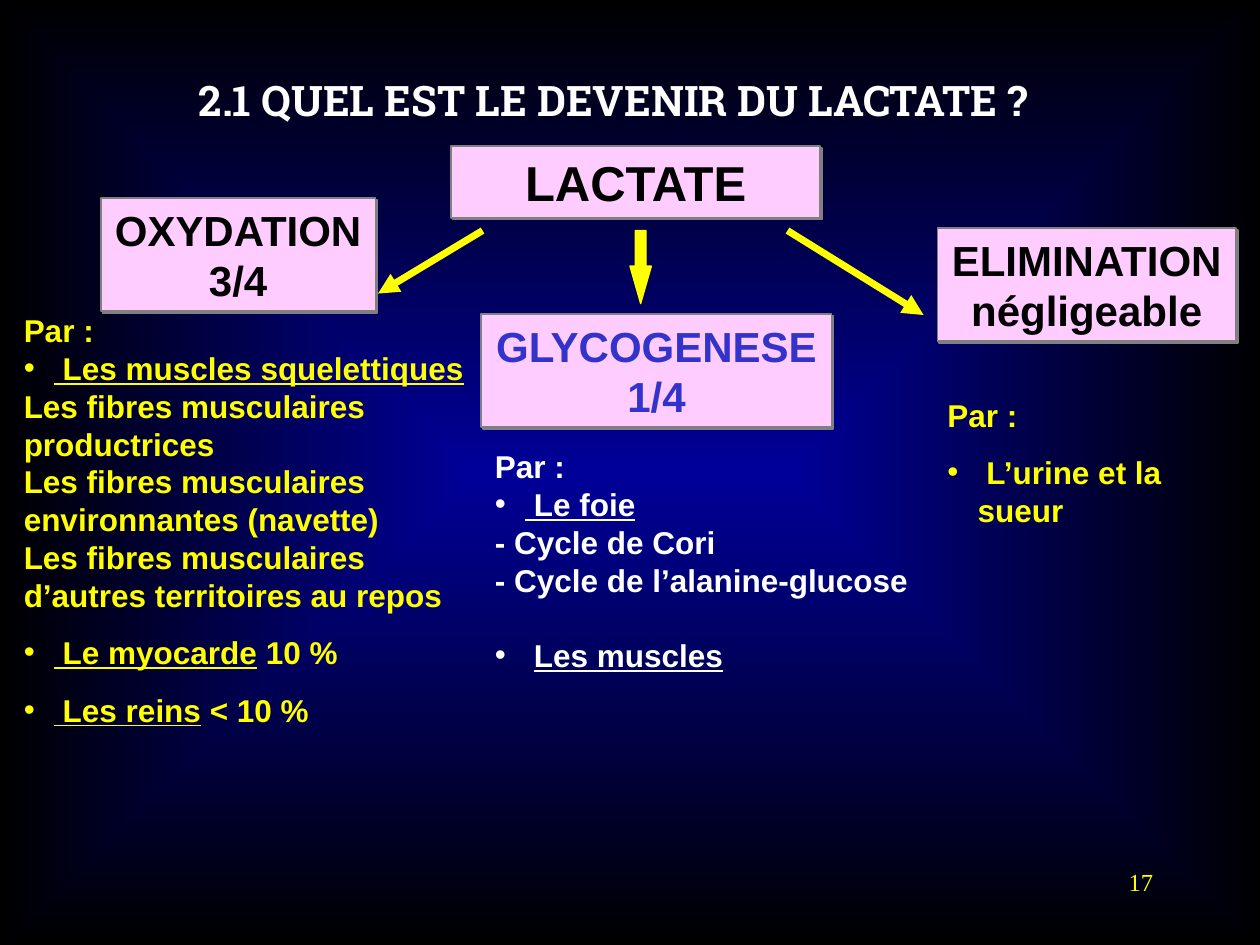
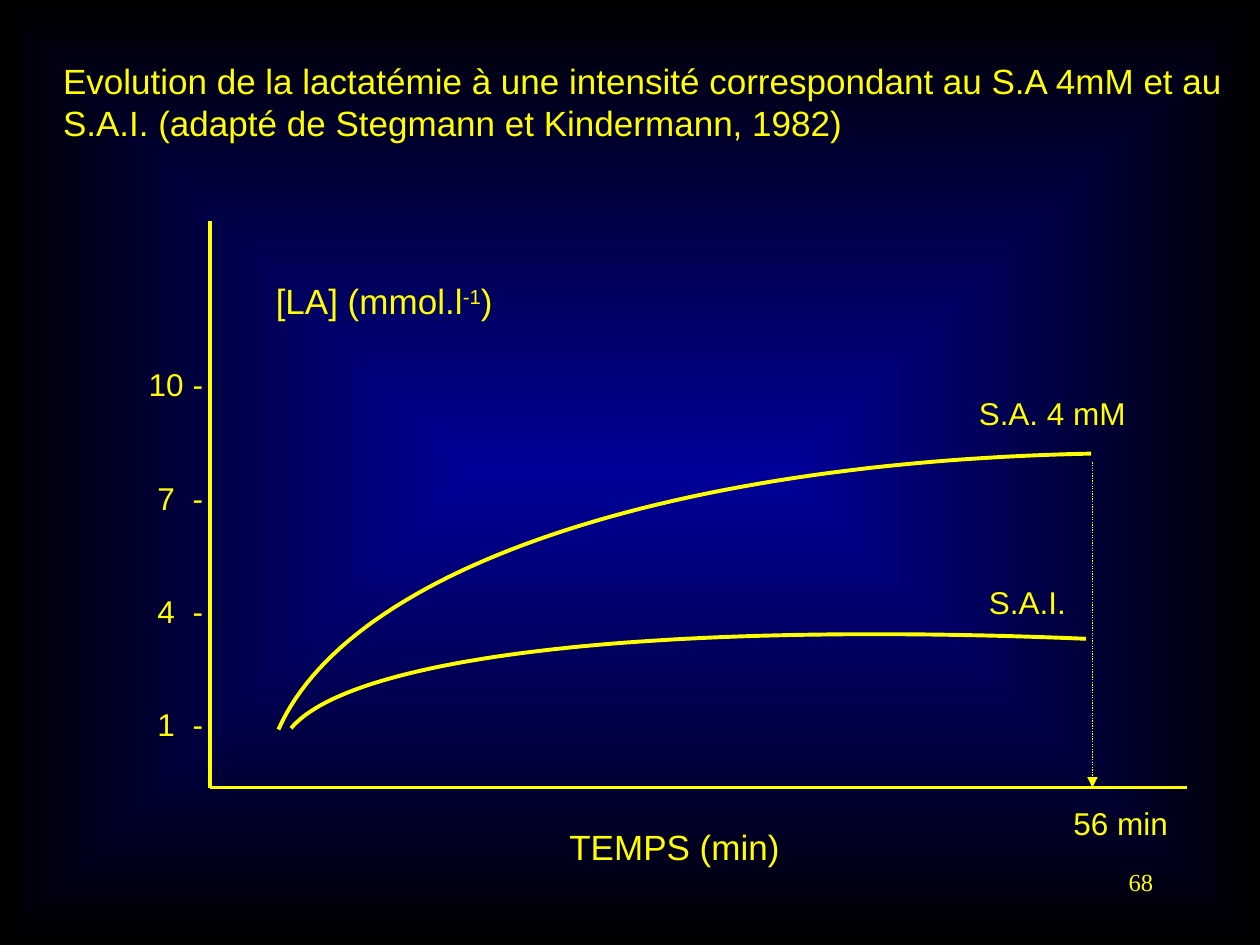
import pptx
import pptx.dml.color
import pptx.enum.dml
import pptx.enum.shapes
import pptx.enum.text
import pptx.oxml.ns
import pptx.util
from lxml import etree

COLORS = {"yellow": "FFFF00", "white": "FFFFFF", "black": "000000", "blue": "3333CC",
          "pink": "FFCCFF", "gray": "808080", "navy": "000099"}

FATE_TITLE = "2.1 QUEL EST LE DEVENIR DU LACTATE ?"
FATE_BOXES = [
    (["LACTATE"], (3.58, 1.16, 2.93, 0.57), 28, "black"),
    (["OXYDATION", "3/4"], (0.8, 1.57, 2.18, 0.9), 24, "black"),
    (["GLYCOGENESE", "1/4"], (3.82, 2.49, 2.78, 0.9), 24, "blue"),
    (["ELIMINATION", "négligeable"], (7.44, 1.81, 2.37, 0.9), 24, "black"),
]
FATE_ARROWS = [((3.83, 1.83), (3, 2.33)), ((6.25, 1.83), (7.33, 2.5))]
U = {"underline": True}
FATE_COLUMNS = [
    ([
        "Par :",
        {"runs": [(" Les muscles squelettiques", U)], "bullet": True},
        "Les fibres musculaires productrices",
        "Les fibres musculaires environnantes (navette)",
        "Les fibres musculaires d’autres territoires au repos",
        {"runs": [(" Le myocarde", U), (" 10 %", {})], "bullet": True, "before": 11.2},
        {"runs": [(" Les reins", U), (" < 10 %", {})], "bullet": True, "before": 11.2},
    ], (0.09, 2.42, 3.75, 3.41), "yellow"),
    ([
        "Par :",
        {"runs": [(" Le foie", U)], "bullet": True},
        "- Cycle de Cori",
        "- Cycle de l’alanine-glucose",
        {"runs": [(" ", {}), ("Les muscles", U)], "bullet": True, "before": 21.6},
    ], (3.83, 3.5, 3.75, 1.9), "white"),
    ([
        "Par :",
        {"runs": [(" L’urine et la sueur", {})], "bullet": True, "before": 11.2},
    ], (7.42, 3.09, 2.42, 1.16), "yellow"),
]

CURVE_TITLE = ["Evolution de la lactatémie à une intensité correspondant au S.A 4mM et au",
               "S.A.I. (adapté de Stegmann et Kindermann, 1982)"]
ORIGIN, AXIS_TOP, AXIS_RIGHT = (1.67, 6.25), (1.67, 1.75), (9.42, 6.25)
TICKS = [10, 7, 4, 1]
TICK_TOP, TICK_STEP = 2.85, 0.9
TICK_TABS = [(0.14, "ctr"), (0.35, "l")]
CURVES = [
    [(2.21, 5.79), (2.77, 4.52), (5.28, 3.67), (8.66, 3.6)],
    [(2.31, 5.78), (2.8, 5.2), (5.23, 4.93), (8.62, 5.07)],
]
CURVE_LABELS = [
    (["S.A. 4 mM"], (7.67, 3.08, 1.36, 0.4), 18),
    (["S.A.I."], (7.75, 4.58, 0.81, 0.4), 18),
    (["TEMPS (min)"], (4.42, 6.5, 1.87, 0.44), 20),
    (["56 min"], (8.42, 6.33, 0.95, 0.4), 18),
    ([{"runs": [("[LA] (mmol.l", {}), ("-1", {"baseline": 30000}), (")", {})]}],
     (2.09, 2.17, 1.92, 0.44), 20),
]


def rgb(name):
    return pptx.dml.color.RGBColor.from_string(COLORS[name])


def inches(values):
    return [pptx.util.Inches(v) for v in values]


def add_xml(parent, tag, **attributes):
    return etree.SubElement(parent, pptx.oxml.ns.qn(tag), **attributes)


def write(tf, paragraphs, size=18, color="yellow", font="Arial", bold=False, align="LEFT",
          wrap=True, anchor="TOP", tabs=()):
    tf.auto_size = pptx.enum.text.MSO_AUTO_SIZE.NONE
    tf.word_wrap = wrap
    tf.vertical_anchor = pptx.enum.text.MSO_ANCHOR[anchor]
    for i, item in enumerate(paragraphs):
        item = {"runs": [(item, {})]} if isinstance(item, str) else item
        p = tf.paragraphs[0] if i == 0 else tf.add_paragraph()
        pPr = p._p.get_or_add_pPr()
        if item.get("bullet"):
            pPr.set("marL", str(pptx.util.Inches(0.24)))
            pPr.set("indent", str(-pptx.util.Inches(0.24)))
            add_xml(pPr, "a:buFont", typeface="Arial")
            add_xml(pPr, "a:buChar", char="•")
        if tabs:
            tab_list = add_xml(pPr, "a:tabLst")
            for position, kind in tabs:
                add_xml(tab_list, "a:tab", pos=str(pptx.util.Inches(position)), algn=kind)
        p.alignment = pptx.enum.text.PP_ALIGN[align]
        if "before" in item:
            p.space_before = pptx.util.Pt(item["before"])
        for text, fmt in item["runs"]:
            r = p.add_run()
            r.text = text
            r.font.name, r.font.size, r.font.bold = font, pptx.util.Pt(size), bold
            r.font.color.rgb = rgb(color)
            r.font.underline = fmt.get("underline")
            if "baseline" in fmt:
                r._r.get_or_add_rPr().set("baseline", str(fmt["baseline"]))


def add_text(s, paragraphs, box, **fmt):
    sp = s.shapes.add_textbox(*inches(box))
    write(sp.text_frame, paragraphs, **fmt)


def set_line(sp, color, width):
    sp.line.color.rgb = rgb(color)
    sp.line.width = pptx.util.Pt(width)


def add_line(s, start, end, width, arrow=False, dash=None):
    c = s.shapes.add_connector(pptx.enum.shapes.MSO_CONNECTOR.STRAIGHT, *inches(start + end))
    set_line(c, "yellow", width)
    if dash:
        c.line.dash_style = dash
    if arrow:
        add_xml(c._element.spPr.find(pptx.oxml.ns.qn("a:ln")), "a:tailEnd", type="triangle")
    add_xml(c._element.spPr, "a:effectLst")


def add_filled(s, kind, box, fill, line, width):
    sp = s.shapes.add_shape(pptx.enum.shapes.MSO_SHAPE[kind], *inches(box))
    sp.fill.solid()
    sp.fill.fore_color.rgb = rgb(fill)
    set_line(sp, line, width)
    sp.shadow.inherit = False
    return sp


def add_box(s, paragraphs, box, size, color):
    sp = add_filled(s, "RECTANGLE", box, "pink", "gray", 1)
    effects = sp._element.spPr.find(pptx.oxml.ns.qn("a:effectLst"))
    shadow = add_xml(effects, "a:outerShdw", dist=str(pptx.util.Pt(1.4)), dir="2700000",
                     algn="ctr", rotWithShape="0")
    add_xml(shadow, "a:srgbClr", val=COLORS["gray"])
    write(sp.text_frame, paragraphs, size=size, color=color, bold=True, align="CENTER",
          wrap=False, anchor="MIDDLE")


def bezier(a, b, c, d, t):
    return tuple((1 - t) ** 3 * w + 3 * (1 - t) ** 2 * t * x + 3 * (1 - t) * t * t * y + t ** 3 * z
                 for w, x, y, z in zip(a, b, c, d))


def add_curve(s, controls, steps=60):
    points = [inches(bezier(*controls, i / steps)) for i in range(steps + 1)]
    fb = s.shapes.build_freeform(*points[0])
    fb.add_line_segments(points[1:], close=False)
    sp = fb.convert_to_shape()
    sp.fill.background()
    set_line(sp, "yellow", 2.25)
    sp.shadow.inherit = False


def set_background(master):
    fill = master.background.fill
    fill.gradient()
    for stop, position, color in zip(fill.gradient_stops, (0.0, 1.0), ("navy", "black")):
        stop.position = position
        stop.color.rgb = rgb(color)
    grad = master._element.find(".//" + pptx.oxml.ns.qn("a:gradFill"))
    grad.remove(grad.find(pptx.oxml.ns.qn("a:lin")))
    center = add_xml(grad, "a:path", path="rect")
    add_xml(center, "a:fillToRect", **dict.fromkeys("ltrb", "50000"))


def new_slide(prs, number, title, box, **fmt):
    s = prs.slides.add_slide(prs.slide_layouts[5])
    sp = s.shapes.title
    sp.left, sp.top, sp.width, sp.height = inches(box)
    write(sp.text_frame, title, **fmt)
    add_text(s, [number], (7.17, 6.83, 2.08, 0.5), size=14, font="Times New Roman", align="RIGHT")
    return s


def fate_slide(prs):
    s = new_slide(prs, "17", [FATE_TITLE], (0.33, 0.5, 9.08, 0.58), size=24, color="white",
                  font="Roboto Slab", bold=True, align="CENTER", anchor="MIDDLE")
    for box in FATE_BOXES:
        add_box(s, *box)
    sp = add_filled(s, "DOWN_ARROW", (5, 1.83, 0.17, 0.58), "yellow", "yellow", 0.75)
    sp.adjustments[0], sp.adjustments[1] = 0.5, 1.75
    for start, end in FATE_ARROWS:
        add_line(s, start, end, 4, arrow=True)
    for paragraphs, box, color in FATE_COLUMNS:
        add_text(s, paragraphs, box, color=color, bold=True)


def curve_slide(prs):
    s = new_slide(prs, "68", CURVE_TITLE, (0.4, 0.42, 9.42, 0.77), size=20, wrap=False)
    add_line(s, AXIS_TOP, ORIGIN, 2.25)
    add_line(s, ORIGIN, AXIS_RIGHT, 2.25)
    for controls in CURVES:
        add_curve(s, controls)
    for i, tick in enumerate(TICKS):
        add_text(s, [f"\t{tick}\t-"], (1.08, TICK_TOP + i * TICK_STEP, 0.7, 0.4), tabs=TICK_TABS)
    for paragraphs, box, size in CURVE_LABELS:
        add_text(s, paragraphs, box, size=size, wrap=False)
    add_line(s, (8.67, 3.67), (8.67, 6.25), 0.75, arrow=True,
             dash=pptx.enum.dml.MSO_LINE.ROUND_DOT)


def main():
    prs = pptx.Presentation()
    prs.slide_width, prs.slide_height = inches((10, 7.5))
    set_background(prs.slide_master)
    fate_slide(prs)
    curve_slide(prs)
    prs.save("out.pptx")


if __name__ == "__main__":
    main()
